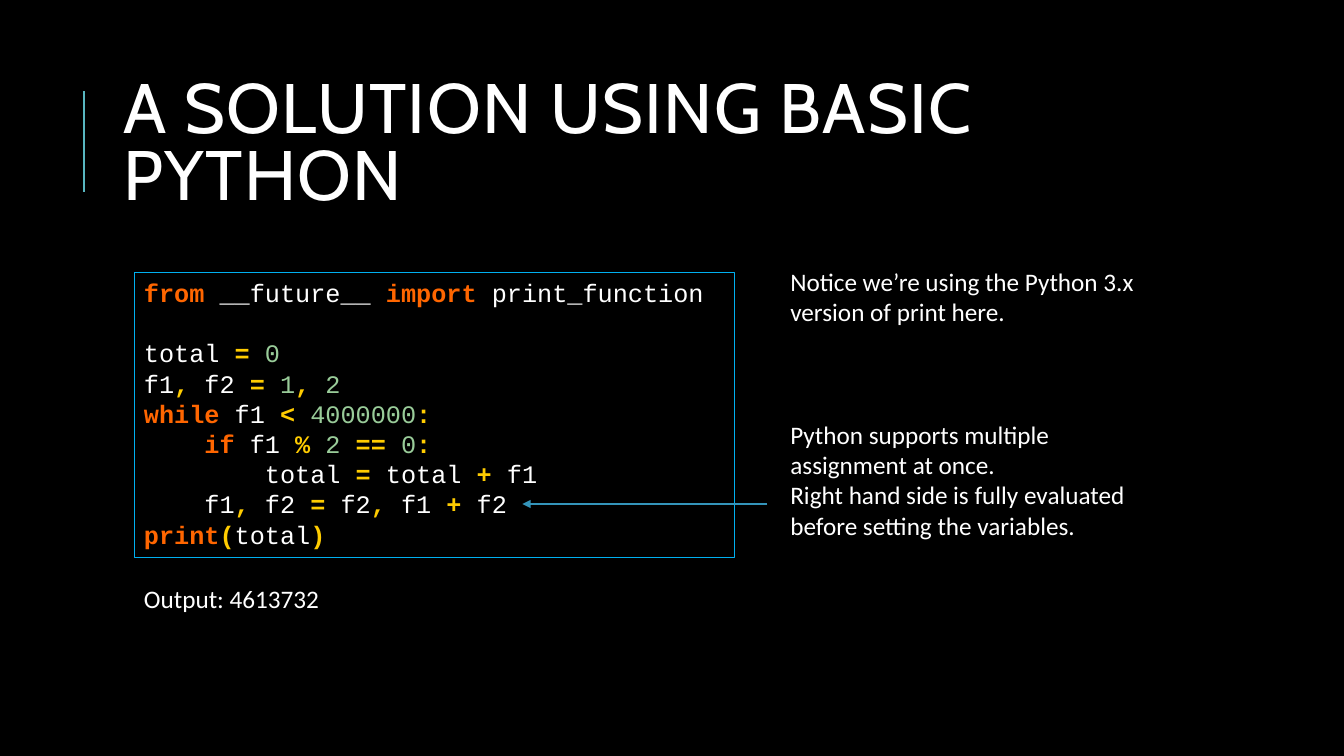
from lxml.etree import SubElement
from pptx import Presentation
from pptx.dml.color import RGBColor
from pptx.enum.shapes import MSO_CONNECTOR, MSO_SHAPE
from pptx.enum.text import MSO_ANCHOR, MSO_AUTO_SIZE, PP_ALIGN
from pptx.oxml.ns import qn
from pptx.util import Inches, Pt

WHITE = "FFFFFF"
STYLES = {
    "keyword": ("FF6600", True),
    "operator": ("FFCC00", True),
    "number": ("99CC99", False),
    "name": (WHITE, False),
}
KEYWORDS = {"from", "import", "while", "if", "print"}
CODE_PITCH = Pt(21.6)
CODE_INDENT = 0.6
CODE = [
    (0, False, ["from", " __future__ ", "import", " print_function"]),
    (0, True, ["total ", "= ", "0"]),
    (0, False, ["f1", ",", " f2 ", "= ", "1", ", ", "2"]),
    (0, False, ["while", " f1 ", "< ", "4000000", ":"]),
    (1, False, ["if", " f1 ", "% ", "2 ", "== ", "0", ":"]),
    (2, False, ["total ", "=", " total ", "+", " f1"]),
    (1, False, ["f1", ",", " f2 ", "=", " f2", ",", " f1 ", "+", " f2"]),
    (0, False, ["print", "(", "total", ")"]),
]


def colour(value):
    return RGBColor.from_string(value)


def token_style(token):
    word = token.strip()
    if word in KEYWORDS:
        return STYLES["keyword"]
    if word.isdigit():
        return STYLES["number"]
    if word[0].isalpha() or word[0] == "_":
        return STYLES["name"]
    return STYLES["operator"]


def add_span(para, text, font, size, fill=WHITE, bold=False):
    span = para.add_run()
    span.text = text
    span.font.name = font
    span.font.size = Pt(size)
    span.font.bold = bold
    span.font.color.rgb = colour(fill)
    return span


def next_para(frame, index):
    return frame.add_paragraph() if index else frame.paragraphs[0]


def add_line(page, start, end, fill, width, arrow=False):
    line = page.shapes.add_connector(
        MSO_CONNECTOR.STRAIGHT, *(Inches(value) for value in start + end))
    line.line.color.rgb = colour(fill)
    line.line.width = Pt(width)
    if arrow:
        SubElement(line.line._get_or_add_ln(), qn("a:tailEnd"), type="triangle")
    SubElement(line._element.spPr, qn("a:effectLst"))


def add_title(page, box, text):
    left, top, width, height = box
    title = page.shapes.title
    title.left, title.top, title.width, title.height = map(Inches, box)
    frame = title.text_frame
    frame.word_wrap = True
    frame.auto_size = MSO_AUTO_SIZE.NONE
    frame.vertical_anchor = MSO_ANCHOR.MIDDLE
    para = frame.paragraphs[0]
    para.alignment = PP_ALIGN.LEFT
    para.line_spacing = 0.8
    span = add_span(para, text, "Cabin", 50)
    span.font._element.set("spc", "100")
    rule = left - 0.29
    add_line(page, (rule, top + 1.26), (rule, top + 0.26), "58B6C0", 1.5)


def add_code(page, box):
    panel = page.shapes.add_shape(MSO_SHAPE.RECTANGLE, *map(Inches, box))
    panel.shadow.inherit = False
    panel.fill.background()
    panel.line.color.rgb = colour("00B0F0")
    panel.line.width = Pt(0.75)
    frame = panel.text_frame
    frame.word_wrap = True
    frame.vertical_anchor = MSO_ANCHOR.TOP
    for index, (level, gap, tokens) in enumerate(CODE):
        para = next_para(frame, index)
        para.alignment = PP_ALIGN.LEFT
        para.line_spacing = CODE_PITCH
        if gap:
            para.space_before = CODE_PITCH
        if level:
            indent = Inches(CODE_INDENT * level)
            para._p.get_or_add_pPr().set("marL", str(indent))
        for token in tokens:
            add_span(para, token, "Courier New", 18, *token_style(token))


def add_note(page, box, lines):
    note = page.shapes.add_textbox(*map(Inches, box))
    frame = note.text_frame
    frame.word_wrap = True
    for index, line in enumerate(lines):
        add_span(next_para(frame, index), line, "Calibri", 18)


def build_solution(deck):
    page = deck.slides.add_slide(deck.slide_layouts[5])
    page.background.fill.solid()
    page.background.fill.fore_color.rgb = colour("000000")
    add_title(page, (1.12, 0.64, 10.63, 1.64), "A SOLUTION USING BASIC PYTHON")
    add_code(page, (1.33, 2.7, 5.96, 2.83))
    add_note(page, (7.74, 2.59, 4.01, 0.71), [
        "Notice we’re using the Python 3.x",
        "version of print here.",
    ])
    add_note(page, (7.74, 4.11, 4.01, 1.31), [
        "Python supports multiple",
        "assignment at once.",
        "Right hand side is fully evaluated",
        "before setting the variables.",
    ])
    add_line(page, (7.61, 5), (5.18, 5), "3494BA", 0.75, arrow=True)
    add_note(page, (1.33, 5.74, 2.06, 0.4), ["Output: 4613732"])


deck = Presentation()
deck.slide_width = Inches(13.33)
deck.slide_height = Inches(7.5)
build_solution(deck)
deck.save("out.pptx")
